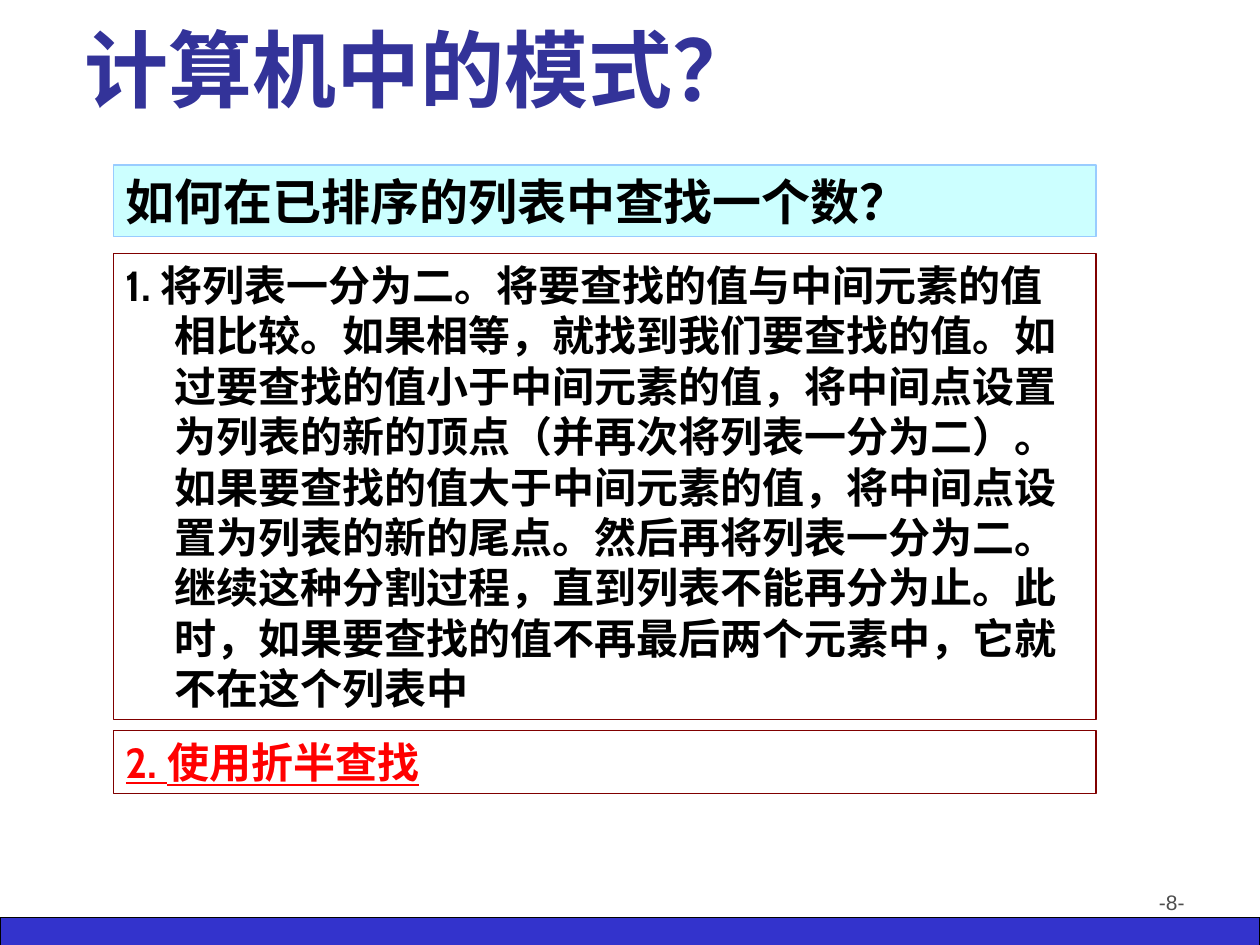
from pptx import Presentation
from pptx.dml.color import RGBColor
from pptx.enum.shapes import MSO_SHAPE
from pptx.enum.text import MSO_ANCHOR, MSO_AUTO_SIZE, PP_ALIGN
from pptx.util import Inches, Pt

THEME = {
    "font": "Cabin", "number_font": "Arial",
    "title": "333399", "text": "000000", "answer": "FF0000", "number": "4D4D4D",
    "bar": "3333CC", "question_fill": "CCFFFF", "question_line": "99CCFF",
    "step_fill": "FFFFFF", "step_line": "800000",
    "title_size": 48, "question_size": 28, "step_size": 24, "number_size": 12,
}

# Content
TITLE = "计算机中的模式？"
PAGE_NUMBER = "-8-"
QUESTION = "如何在已排序的列表中查找一个数？"
STEPS = [
    # text, top, height, colour, underlined
    ("1. 将列表一分为二。将要查找的值与中间元素的值相比较。如果相等，就找到我们要查找的值。"
     "如过要查找的值小于中间元素的值，将中间点设置为列表的新的顶点（并再次将列表一分为二）。"
     "如果要查找的值大于中间元素的值，将中间点设置为列表的新的尾点。然后再将列表一分为二。"
     "继续这种分割过程，直到列表不能再分为止。此时，如果要查找的值不再最后两个元素中，"
     "它就不在这个列表中", 2.01, 3.7, "text", False),
    ("2. 使用折半查找", 5.8, 0.5, "answer", True),
]
BOX_LEFT, BOX_WIDTH = 0.9, 7.8
HANGING = 0.39


def color(name):
    return RGBColor.from_string(THEME[name])


def write(box, text, size, tint, font="font", bold=True, underline=None,
          anchor=MSO_ANCHOR.TOP, align=PP_ALIGN.LEFT):
    frame = box.text_frame
    frame.word_wrap = True
    frame.vertical_anchor = anchor
    frame.text = text
    para = frame.paragraphs[0]
    para.alignment = align
    style = para.runs[0].font
    style.name = THEME[font]
    style.size = Pt(THEME[size])
    style.bold = bold
    style.underline = underline
    style.color.rgb = color(tint)
    return para


def add_rectangle(page, left, top, width, height, fill, line):
    box = page.shapes.add_shape(MSO_SHAPE.RECTANGLE, Inches(left), Inches(top),
                                Inches(width), Inches(height))
    box.shadow.inherit = False
    box.fill.solid()
    box.fill.fore_color.rgb = color(fill)
    box.line.color.rgb = color(line)
    box.line.width = Pt(0.75)
    return box


def add_panel(page, top, height, fill, line):
    box = add_rectangle(page, BOX_LEFT, top, BOX_WIDTH, height, fill, line)
    box.text_frame.auto_size = MSO_AUTO_SIZE.SHAPE_TO_FIT_TEXT
    return box


def main():
    deck = Presentation()
    deck.slide_width, deck.slide_height = Inches(10), Inches(7.5)
    page = deck.slides.add_slide(deck.slide_layouts[6])

    # Footer bar and page number
    add_rectangle(page, 0, 7.28, 10, 0.25, "bar", "text")
    number = page.shapes.add_textbox(Inches(7.17), Inches(7.01), Inches(2.33), Inches(0.52))
    write(number, PAGE_NUMBER, "number_size", "number", font="number_font",
          bold=False, align=PP_ALIGN.RIGHT)

    # Title
    title = page.shapes.add_textbox(Inches(0.57), Inches(0.28), Inches(8.68), Inches(0.71))
    write(title, TITLE, "title_size", "title", anchor=MSO_ANCHOR.BOTTOM)

    # Question
    question = add_panel(page, 1.31, 0.57, "question_fill", "question_line")
    write(question, QUESTION, "question_size", "text")

    # Steps with hanging numbers
    for text, top, height, tint, underlined in STEPS:
        step = add_panel(page, top, height, "step_fill", "step_line")
        para = write(step, text, "step_size", tint, underline=underlined)
        properties = para._p.get_or_add_pPr()
        properties.set("marL", str(Inches(HANGING)))
        properties.set("indent", str(-Inches(HANGING)))

    deck.save("out.pptx")


if __name__ == "__main__":
    main()
